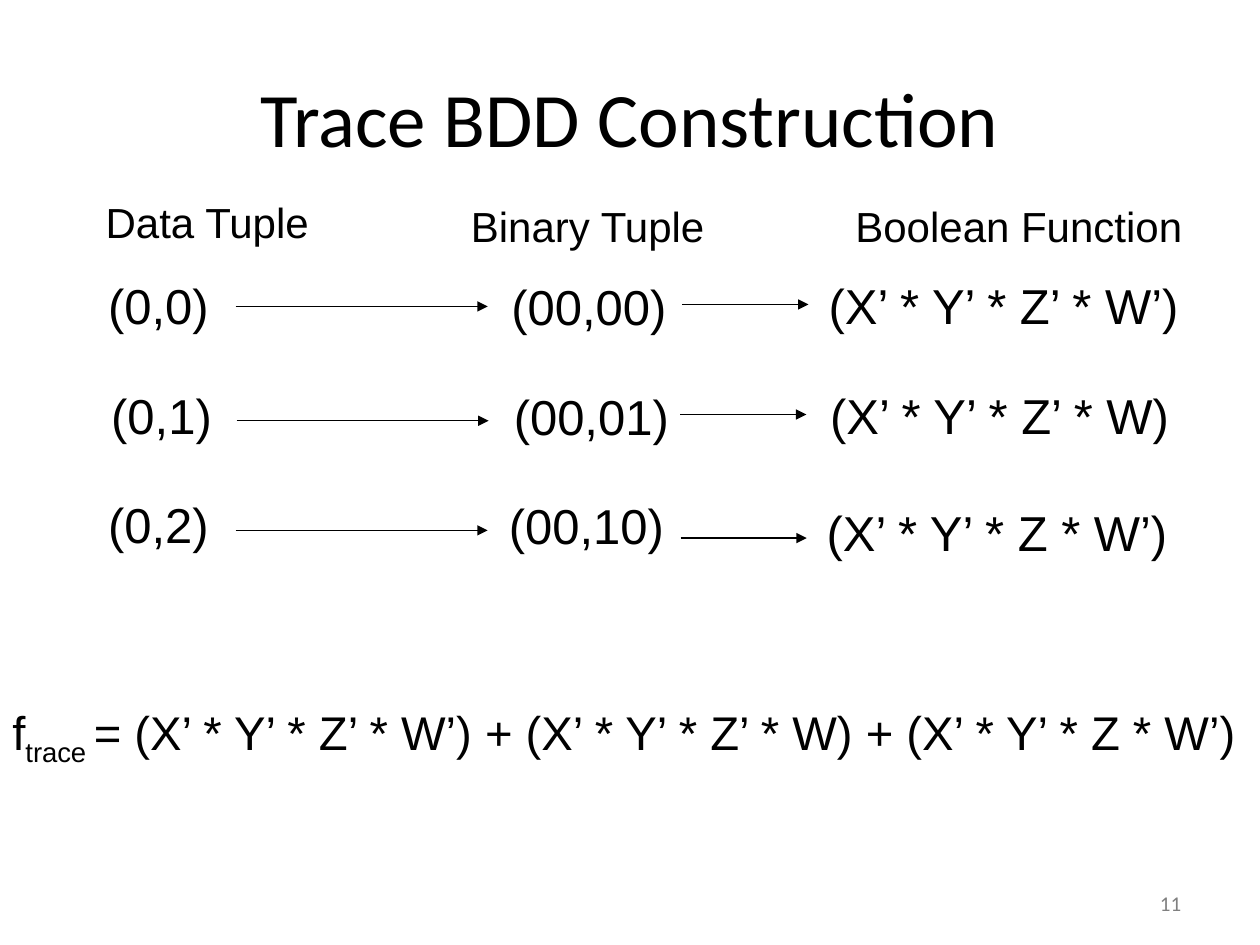
from dataclasses import dataclass

from lxml import etree
from pptx import Presentation
from pptx.dml.color import RGBColor
from pptx.enum import shapes, text
from pptx.oxml import ns
from pptx.util import Pt


@dataclass(frozen=True)
class Theme:
    ink: RGBColor = RGBColor(0, 0, 0)
    muted: RGBColor = RGBColor(0x80, 0x80, 0x80)
    body_font: str = "Arial"
    title_font: str = "Calibri"
    title: int = 44
    cell: int = 28
    formula: int = 27
    header: int = 24
    number: int = 12
    line: float = 0.75


THEME = Theme()
LEFT, CENTER, RIGHT = (text.PP_ALIGN.LEFT, text.PP_ALIGN.CENTER,
                       text.PP_ALIGN.RIGHT)
TOP, MIDDLE = text.MSO_ANCHOR.TOP, text.MSO_ANCHOR.MIDDLE
CELL_SPACING = 1.08

HEADERS = [("Data Tuple", 53.3, 108.7, 132),
           ("Binary Tuple", 262, 110.9, 150),
           ("Boolean Function", 481.7, 110.9, 204)]

# Each row: cells as (text, x, y), then arrows as (x, y), relative to the row
CELL_WIDTHS = (80, 106, 225)
ARROW_LENGTHS = (144, 72)
ROW_TOP, ROW_PITCH = 151.2, 62.64
ROWS = [
    ([("(0,0)", 54.7, 0), ("(00,00)", 285.1, 0.7),
      ("(X’ * Y’ * Z’ * W’)", 466.5, 0)],
     [(134.7, 23.9), (390, 22.8)]),
    ([("(0,1)", 56.5, 0), ("(00,01)", 286.5, 0.7),
      ("(X’ * Y’ * Z’ * W)", 467.3, 0)],
     [(135.2, 26.6), (388.8, 23)]),
    ([("(0,2)", 54.7, 0), ("(00,10)", 283.7, 0.7),
      ("(X’ * Y’ * Z * W’)", 465.3, 4.2)],
     [(134.7, 26.6), (389, 31)]),
]


def add_text(s, box, words, size, font=THEME.body_font, color=THEME.ink,
             align=LEFT, anchor=TOP, spacing=None):
    """Add a one-line text box; words is a string or a list of run strings."""
    tf = s.shapes.add_textbox(*map(Pt, box)).text_frame
    tf.word_wrap = True
    tf.vertical_anchor = anchor
    p = tf.paragraphs[0]
    p.alignment = align
    if spacing:
        p.line_spacing = spacing
    for part in [words] if isinstance(words, str) else words:
        r = p.add_run()
        r.text = part
        r.font.size, r.font.name = Pt(size), font
        r.font.color.rgb = color
    return p


def add_arrow(s, x, y, length):
    line = s.shapes.add_connector(shapes.MSO_CONNECTOR.STRAIGHT,
                                  Pt(x), Pt(y), Pt(x + length), Pt(y))
    line.line.color.rgb = THEME.ink
    line.line.width = Pt(THEME.line)
    etree.SubElement(line.line._get_or_add_ln(), ns.qn("a:tailEnd"),
                     type="triangle")
    etree.SubElement(line._element.spPr, ns.qn("a:effectLst"))


def add_title(s, box):
    add_text(s, box, "Trace BDD Construction", THEME.title, THEME.title_font,
             align=CENTER, anchor=MIDDLE)


def add_headers(s, height):
    for words, x, y, width in HEADERS:
        add_text(s, (x, y, width, height), words, THEME.header)


def add_mapping_row(s, top, height, cells, arrows):
    """Data tuple -> binary tuple -> Boolean function."""
    for (words, x, dy), width in zip(cells, CELL_WIDTHS):
        add_text(s, (x, top + dy, width, height), words, THEME.cell,
                 spacing=CELL_SPACING)
    for (x, dy), length in zip(arrows, ARROW_LENGTHS):
        add_arrow(s, x, top + dy, length)


def add_formula(s, box):
    terms = " + ".join(cells[-1][0] for cells, _ in ROWS)
    p = add_text(s, box, ["f", "trace ", "= " + terms], THEME.formula,
                 spacing=CELL_SPACING)
    p.runs[1].font._element.set("baseline", "-25000")


def add_slide_number(s, box):
    add_text(s, box, "11", THEME.number, THEME.title_font, THEME.muted,
             RIGHT, MIDDLE)


def main():
    prs = Presentation()
    prs.slide_width, prs.slide_height = Pt(720), Pt(540)
    s = prs.slides.add_slide(prs.slide_layouts[6])
    add_title(s, (36, 21.6, 648, 90))
    add_headers(s, 36)
    for i, (cells, arrows) in enumerate(ROWS):
        add_mapping_row(s, ROW_TOP + i * ROW_PITCH, 43.2, cells, arrows)
    add_formula(s, (0, 395.3, 720, 42.5))
    add_slide_number(s, (514, 501.8, 168, 28.8))
    prs.save("out.pptx")


if __name__ == "__main__":
    main()
